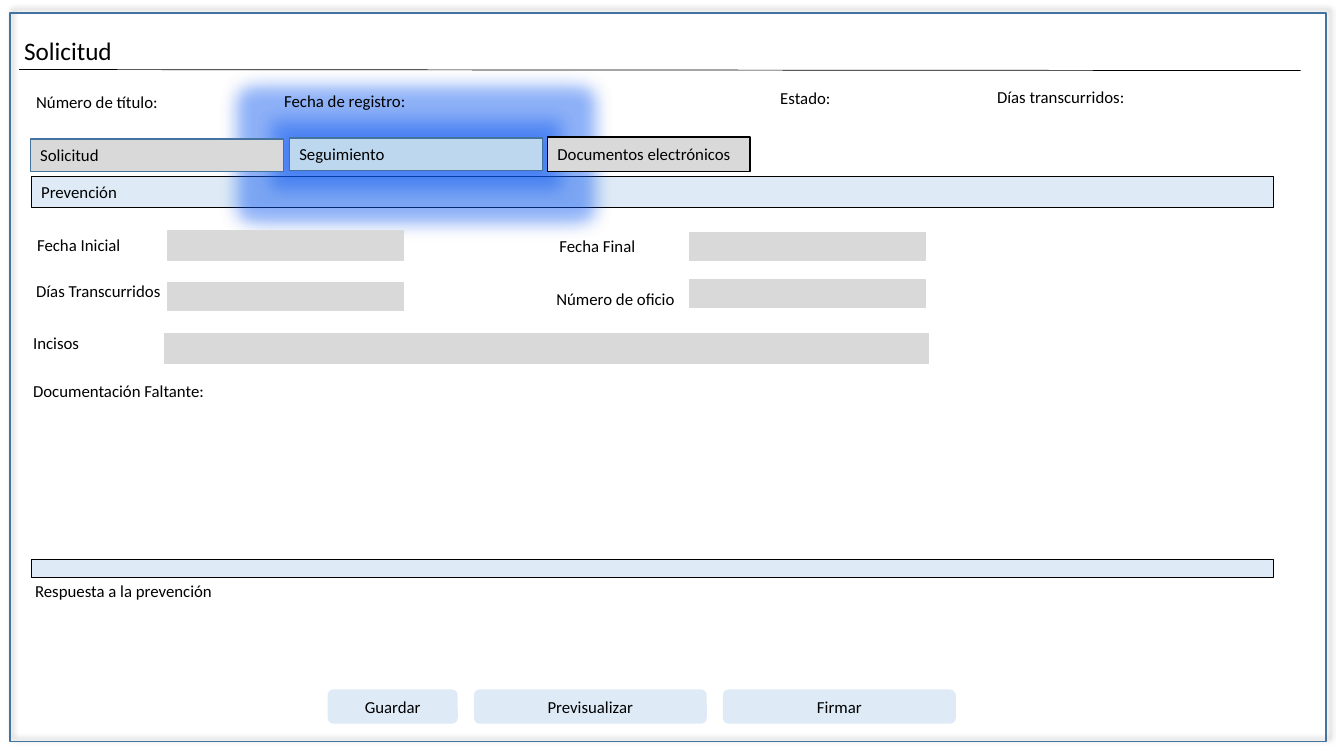
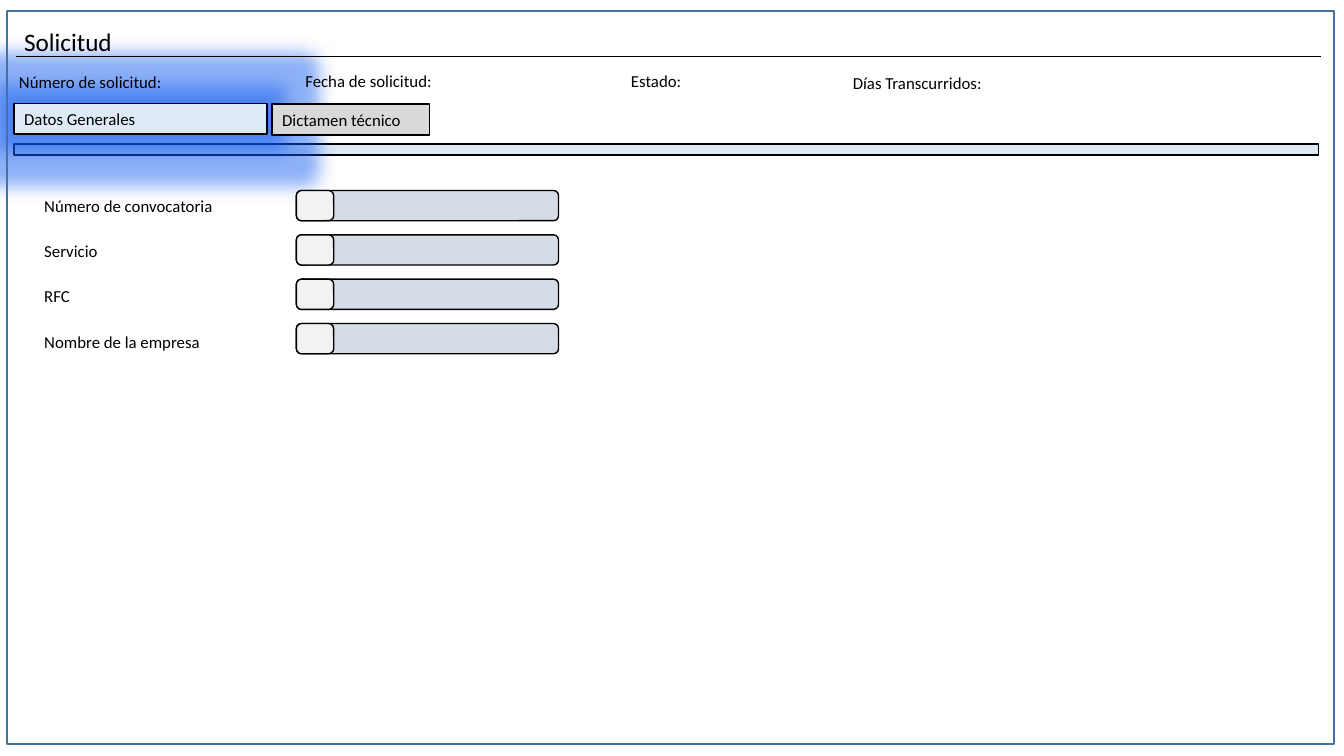
from dataclasses import dataclass
from itertools import accumulate

from lxml.etree import SubElement
from pptx import Presentation
from pptx.dml.color import RGBColor as RGB
from pptx.enum.shapes import MSO_CONNECTOR as CONN, MSO_SHAPE as SHAPE
from pptx.enum.text import MSO_ANCHOR as ANCHOR, MSO_AUTO_SIZE as AUTO, PP_ALIGN as ALIGN
from pptx.oxml.ns import qn
from pptx.util import Inches, Pt


@dataclass(frozen=True)
class Theme:
    """Colours and type sizes shared by the slides."""
    font: str = "Calibri"
    title: int = 18
    body: int = 12
    ink: str = "000000"
    edge: str = "43739E"
    band: str = "DEEBF7"
    active: str = "BDD7EE"
    gray: str = "D9D9D9"
    field: str = "D6DCE5"
    marker: str = "F2F2F2"
    glow: str = "0B57F0"


@dataclass(frozen=True)
class Box:
    """A rectangle in inches."""
    x: float
    y: float
    w: float
    h: float

    def at(self, dx, dy, w, h):
        """Return a box offset from this one's corner."""
        return Box(self.x + dx, self.y + dy, w, h)

    def lengths(self):
        """Return left, top, width and height as lengths."""
        return [Inches(v) for v in (self.x, self.y, self.w, self.h)]


T = Theme()


def write(tf, text, size=T.body, align=ALIGN.LEFT):
    """Put one run of text in a frame."""
    tf.word_wrap = True
    p = tf.paragraphs[0]
    p.alignment = align
    r = p.add_run()
    r.text = text
    r.font.name, r.font.size = T.font, Pt(size)
    r.font.color.rgb = RGB.from_string(T.ink)


def label(slide, box, text, size=T.body):
    """Add a text box that fits its text."""
    tf = slide.shapes.add_textbox(*box.lengths()).text_frame
    tf.auto_size = AUTO.SHAPE_TO_FIT_TEXT
    write(tf, text, size)


def panel(slide, box, fill=None, line=None, text=None, kind=SHAPE.RECTANGLE,
          align=ALIGN.LEFT):
    """Add a flat shape with optional fill, outline and text."""
    sp = slide.shapes.add_shape(kind, *box.lengths())
    sp.shadow.inherit = False
    if fill:
        sp.fill.solid()
        sp.fill.fore_color.rgb = RGB.from_string(fill)
    else:
        sp.fill.background()
    if line:
        sp.line.color.rgb = RGB.from_string(line)
        sp.line.width = Pt(1)
    else:
        sp.line.fill.background()
    if text:
        sp.text_frame.vertical_anchor = ANCHOR.MIDDLE
        write(sp.text_frame, text, align=align)
    return sp


def effect(sp, tag, color, alpha, **attrs):
    """Append a glow or shadow to a shape's effect list."""
    effects = sp._element.spPr.find(qn("a:effectLst"))
    node = SubElement(effects, qn(tag), {k: str(v) for k, v in attrs.items()})
    clr = SubElement(node, qn("a:srgbClr"), val=color)
    SubElement(clr, qn("a:alpha"), val=str(alpha * 1000))


def highlight(sp):
    """Surround the active tab with a blue halo."""
    effect(sp, "a:glow", T.glow, 40, rad=Inches(0.34))
    effect(sp, "a:outerShdw", T.glow, 40, blurRad=Inches(0.14), dist=0, dir=0,
           algn="ctr", rotWithShape=0)


def window(slide, box, shadow=False):
    """Outline the window, with an optional raised shadow."""
    sp = panel(slide, box, line=T.edge)
    if shadow:
        effect(sp, "a:outerShdw", T.ink, 40, blurRad=Pt(4), dist=Pt(3),
               dir=315 * 60000, algn="bl", rotWithShape=0)


def heading(slide, box, text, rule):
    """Add the window title and the thin rule under it."""
    label(slide, box, text, T.title)
    x1, y1, x2, y2 = (Inches(v) for v in rule)
    cn = slide.shapes.add_connector(CONN.STRAIGHT, x1, y1, x2, y2)
    cn.line.color.rgb = RGB.from_string(T.ink)
    cn.line.width = Pt(0.5)
    SubElement(cn._element.spPr, qn("a:effectLst"))


def labels(slide, box, items):
    """Place captions at offsets from the box corner."""
    for dx, dy, w, text in items:
        label(slide, box.at(dx, dy, w, 0.3), text)


def tabs(slide, box, items):
    """Place tabs from offsets, with the first one highlighted."""
    for i, (dx, dy, w, h, fill, line, text) in enumerate(items):
        sp = panel(slide, box.at(dx, dy, w, h), fill, line, text)
        if i == 0:
            highlight(sp)


def prevention_form(slide, box):
    """Place the prevention captions and input fields."""
    labels(slide, box, [
        (0.04, 0, 3.37, "Fecha Inicial"),
        (0.03, 0.46, 3.37, "Días Transcurridos"),
        (5.22, 0.01, 3.37, "Fecha Final"),
        (5.19, 0.54, 3.37, "Número de oficio"),
        (0, 0.97, 3.37, "Incisos"),
        (0, 1.45, 4, "Documentación Faltante:"),
    ])
    for dx, dy, w, h in [(1.43, 0.01, 2.34, 0.29), (6.61, 0.03, 2.34, 0.27),
                         (1.43, 0.53, 2.34, 0.27), (6.61, 0.5, 2.34, 0.27),
                         (1.4, 1.03, 7.58, 0.3)]:
        panel(slide, box.at(dx, dy, w, h), T.gray, T.gray)


def buttons(slide, box, items, gap=0.16):
    """Lay rounded buttons in a row with equal gaps."""
    starts = accumulate((w + gap for _, w in items), initial=0)
    for dx, (text, w) in zip(starts, items):
        panel(slide, box.at(dx, 0, w, box.h), T.band, text=text,
              kind=SHAPE.ROUNDED_RECTANGLE, align=ALIGN.CENTER)


def general_form(slide, box, names):
    """Stack captions beside rounded fields with a marker."""
    for i, name in enumerate(names):
        for w, fill in ((2.6, T.field), (0.37, T.marker)):
            panel(slide, box.at(2.6, 0.44 * i, w, 0.3), fill, T.ink,
                  kind=SHAPE.ROUNDED_RECTANGLE)
        label(slide, box.at(0, 0.45 * i, 3.59, 0.3), name)


def tracking_slide(slide):
    """Build the follow-up window."""
    window(slide, Box(0.1, 0.13, 13.05, 7.23), shadow=True)
    heading(slide, Box(0.14, 0.3, 5.11, 0.4), "Solicitud", (0.19, 0.69, 12.9, 0.7))
    panel(slide, Box(0.31, 1.75, 12.32, 0.31), T.band, T.ink, "Prevención")
    panel(slide, Box(0.31, 5.55, 12.32, 0.18), T.band, T.ink)
    tabs(slide, Box(0.3, 1.36, 7.14, 0.34), [
        (2.57, 0.01, 2.51, 0.32, T.active, T.edge, "Seguimiento"),
        (0, 0.02, 2.51, 0.32, T.gray, T.edge, "Solicitud"),
        (5.13, 0, 2.01, 0.34, T.gray, T.ink, "Documentos electrónicos"),
    ])
    labels(slide, Box(0.26, 0.81, 11.22, 0.35), [
        (0, 0.05, 2.12, "Número de título:"),
        (2.46, 0.04, 2.12, "Fecha de registro:"),
        (7.38, 0.01, 1.69, "Estado:"),
        (9.53, 0, 1.69, "Días transcurridos:"),
    ])
    prevention_form(slide, Box(0.23, 2.28, 8.98, 1.75))
    label(slide, Box(0.25, 5.71, 4, 0.3), "Respuesta a la prevención")
    buttons(slide, Box(3.25, 6.84, 6.23, 0.34),
            [("Guardar", 1.29), ("Previsualizar", 2.31), ("Firmar", 2.31)])


def general_slide(slide):
    """Build the general data window."""
    panel(slide, Box(0.14, 1.43, 12.94, 0.11), T.band, T.ink)
    tabs(slide, Box(0.14, 1.03, 4.12, 0.31), [
        (0, 0, 2.51, 0.3, T.band, T.ink, "Datos Generales"),
        (2.56, 0, 1.56, 0.31, T.gray, T.ink, "Dictamen técnico"),
    ])
    labels(slide, Box(0.09, 0.65, 10.39, 0.32), [
        (0, 0.01, 2.37, "Número de solicitud:"),
        (2.84, 0, 2.12, "Fecha de solicitud:"),
        (6.07, 0, 2.12, "Estado:"),
        (8.27, 0.02, 2.12, "Días Transcurridos:"),
    ])
    heading(slide, Box(0.14, 0.21, 5.11, 0.4), "Solicitud", (0.16, 0.56, 13.1, 0.56))
    window(slide, Box(0.07, 0.11, 13.16, 7.27))
    general_form(slide, Box(0.34, 1.89, 5.2, 1.64),
                 ["Número de convocatoria", "Servicio", "RFC", "Nombre de la empresa"])


def main():
    """Build and save the presentation."""
    prs = Presentation()
    prs.slide_width, prs.slide_height = Inches(13.33), Inches(7.5)
    for build in (tracking_slide, general_slide):
        build(prs.slides.add_slide(prs.slide_layouts[6]))
    prs.save("out.pptx")


if __name__ == "__main__":
    main()
